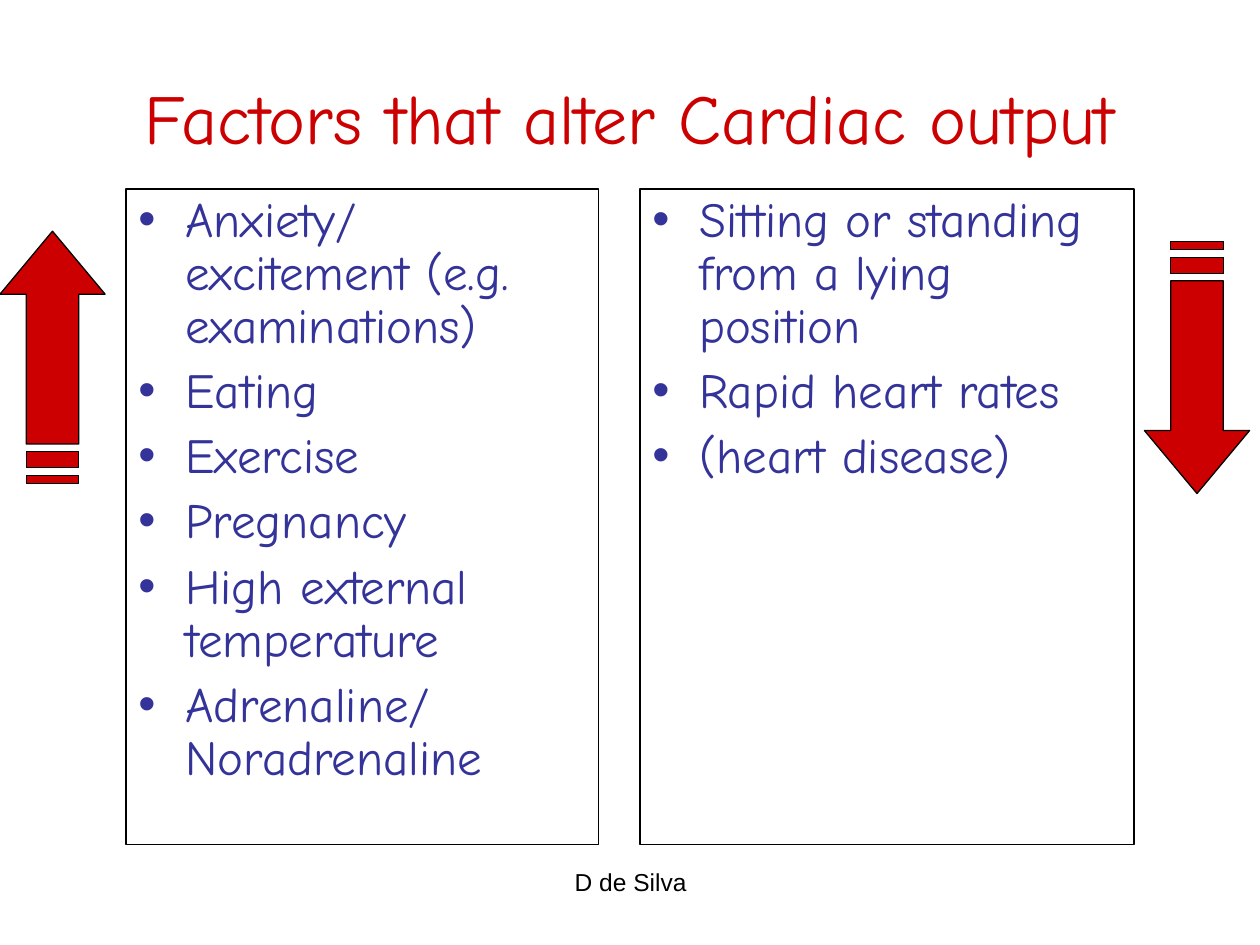
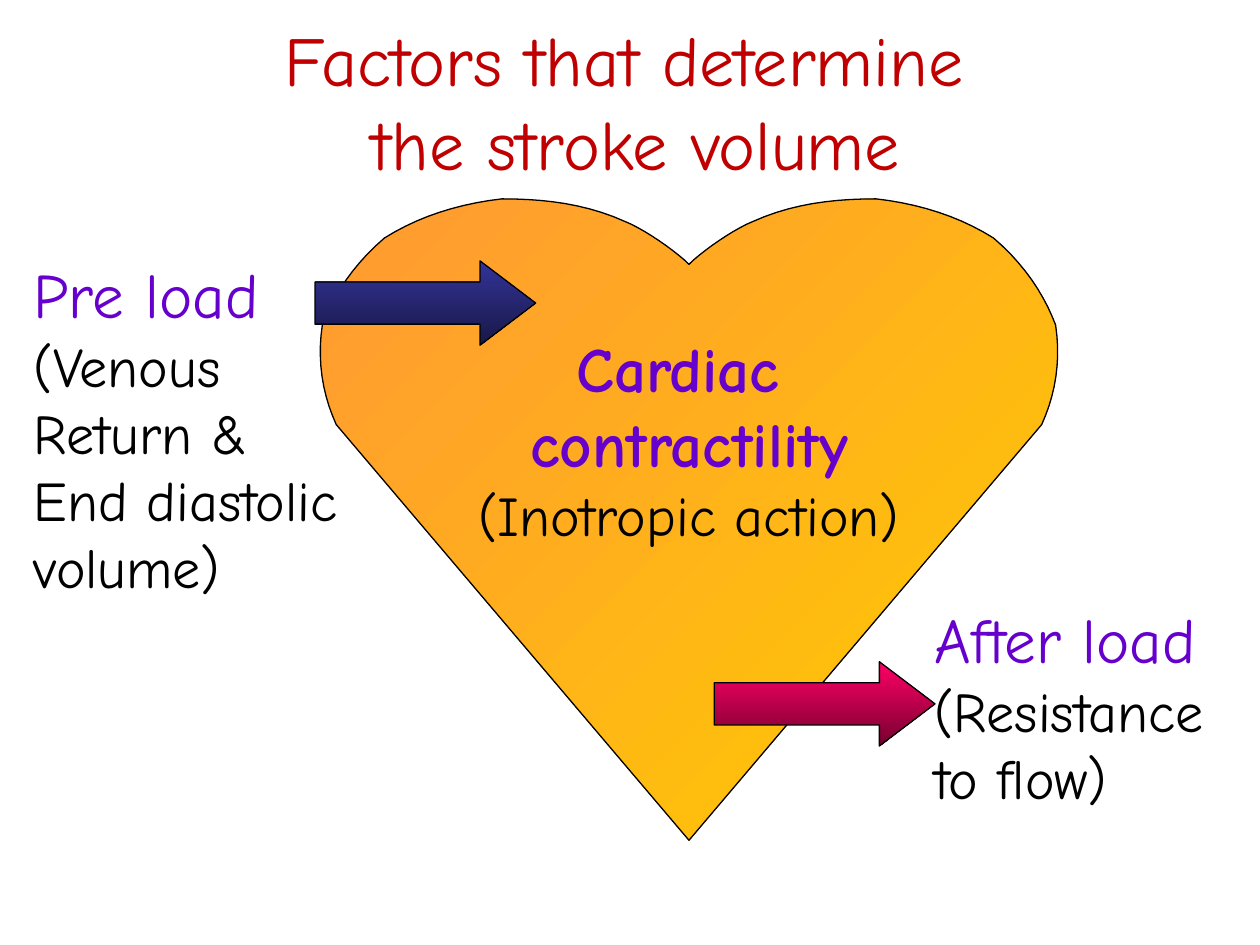
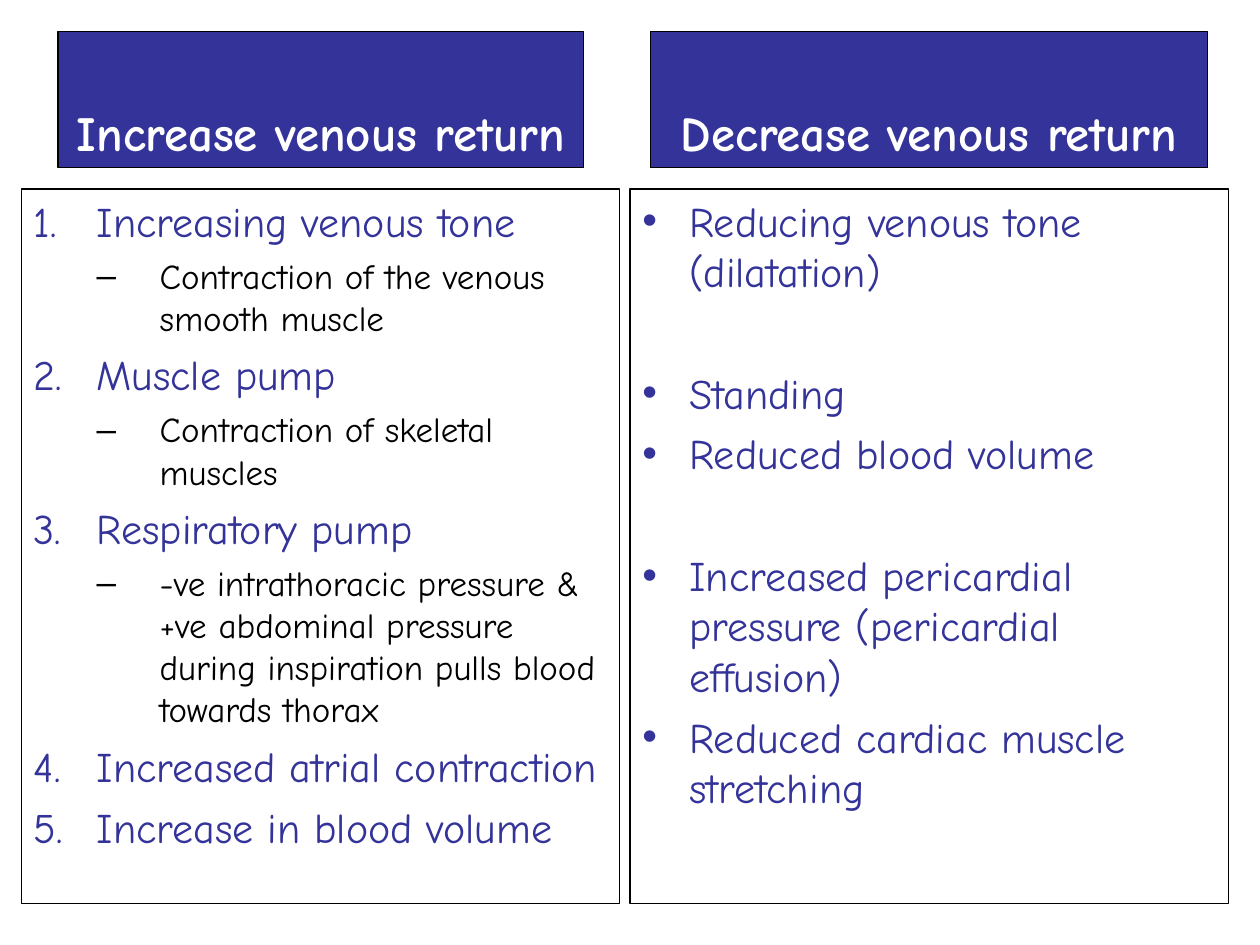
from lxml import etree
from pptx import Presentation
from pptx.dml.color import RGBColor
from pptx.enum import shapes, text
from pptx.oxml import ns
from pptx.util import Cm, Pt

FONT, FOOTER_FONT = "Comic Neue", "Arial"
RED = RGBColor(0xCC, 0x00, 0x00)
DARK_RED = RGBColor(0xC0, 0x00, 0x00)
BLUE = RGBColor(0x33, 0x33, 0x99)
NAVY = RGBColor(0x18, 0x18, 0x47)
PURPLE = RGBColor(0x66, 0x00, 0xCC)
PINK = RGBColor(0xFF, 0x00, 0x66)
MAROON = RGBColor(0x76, 0x00, 0x2F)
ORANGE = RGBColor(0xFF, 0x99, 0x33)
YELLOW = RGBColor(0xFF, 0xCC, 0x00)
BLACK = RGBColor(0x00, 0x00, 0x00)
WHITE = RGBColor(0xFF, 0xFF, 0xFF)
CENTER, LEFT = text.PP_ALIGN.CENTER, text.PP_ALIGN.LEFT
TOP, MIDDLE, BOTTOM = text.MSO_ANCHOR.TOP, text.MSO_ANCHOR.MIDDLE, text.MSO_ANCHOR.BOTTOM


def write(shape, lines, align=LEFT, anchor=TOP, wrap=True, font=FONT, gap=0, spacing=1.0):
    """Fill a shape with (text, size, colour[, bullet, indent in cm, extra gap]) lines."""
    frame = shape.text_frame
    frame.word_wrap = wrap
    frame.vertical_anchor = anchor
    for index, (words, size, colour, *bullet) in enumerate(lines):
        paragraph = frame.paragraphs[0] if index == 0 else frame.add_paragraph()
        paragraph.text = words
        paragraph.alignment = align
        paragraph.line_spacing = spacing
        extra = 0
        if bullet:
            mark, indent, extra = bullet
            paragraph.level = 1 if mark == "–" else 0
            properties = paragraph._p.get_or_add_pPr()
            properties.set("marL", str(Cm(indent * (paragraph.level + 1))))
            properties.set("indent", str(-Cm(indent)))
            if mark == "1.":
                etree.SubElement(properties, ns.qn("a:buFont"), typeface="+mj-lt")
                etree.SubElement(properties, ns.qn("a:buAutoNum"), type="arabicPeriod")
            else:
                etree.SubElement(properties, ns.qn("a:buFont"), typeface=FOOTER_FONT)
                etree.SubElement(properties, ns.qn("a:buChar"), char=mark)
        if index:
            paragraph.space_before = Pt(gap + extra)
        paragraph.font.name = font
        paragraph.font.size = Pt(size)
        paragraph.font.color.rgb = colour
        paragraph.font.bold = False


def outline(shape, *colours, angle=270):
    """Thin black line, no shadow, and a plain or two-colour fill."""
    shape.line.color.rgb = BLACK
    shape.line.width = Pt(0.75)
    shape.shadow.inherit = False
    if len(colours) == 1:
        shape.fill.solid()
        shape.fill.fore_color.rgb = colours[0]
    elif colours:
        shape.fill.gradient()
        shape.fill.gradient_angle = angle
        for stop, colour in zip(shape.fill.gradient_stops, colours):
            stop.color.rgb = colour


presentation = Presentation()
presentation.slide_width, presentation.slide_height = Cm(25.4), Cm(19.05)
blank = presentation.slide_layouts[6]

# Slide 1: what raises and lowers cardiac output
slide = presentation.slides.add_slide(blank)
footer = slide.shapes.add_textbox(Cm(8.69), Cm(17.35), Cm(8.05), Cm(1.32))
write(footer, [("D de Silva", 14, BLACK)], CENTER, font=FOOTER_FONT)
title = slide.shapes.add_textbox(Cm(1.27), Cm(0.76), Cm(22.86), Cm(3.18))
write(title, [("Factors that alter Cardiac output", 40, RED)], CENTER, MIDDLE)

raising = ["Anxiety/ excitement (e.g. examinations)", "Eating", "Exercise", "Pregnancy",
           "High external temperature", "Adrenaline/ Noradrenaline"]
lowering = ["Sitting or standing from a lying position", "Rapid heart rates", "(heart disease)"]
for left, width, factors in [(2.54, 9.52, raising), (12.9, 9.96, lowering)]:
    box = slide.shapes.add_textbox(Cm(left), Cm(3.81), Cm(width), Cm(13.21))
    outline(box)
    write(box, [(factor, 28, BLUE, "•", 0.95, 0) for factor in factors], gap=7, spacing=0.9)

# Striped arrow pointing right, turned up or down
bars = [[(start, 0.53), (end, 0.53), (end, 1.59), (start, 1.59)]
        for start, end in [(0, 0.16), (0.32, 0.64)]]
arrow_head = [(0.79, 0.53), (3.81, 0.53), (3.81, 0), (5.08, 1.06),
              (3.81, 2.12), (3.81, 1.59), (0.79, 1.59)]
for left, top, rotation in [(-1.48, 6.14, 270), (21.59, 6.35, 90)]:
    builder = slide.shapes.build_freeform()
    for number, contour in enumerate([*bars, arrow_head]):
        points = [(Cm(left + x), Cm(top + y)) for x, y in contour]
        if number == 0:
            builder = slide.shapes.build_freeform(*points[0])
        else:
            builder.move_to(*points[0])
        builder.add_line_segments(points[1:], close=True)
    striped_arrow = builder.convert_to_shape()
    striped_arrow.rotation = rotation
    outline(striped_arrow, RED)

# Slide 2: heart with preload and afterload
slide = presentation.slides.add_slide(blank)
heart_center = 13.89
start = (0, 5.33)
curves = [[(0.28, 5.05), (0.91, 4.62), (1.28, 4.47)],
          [(2.08, 4.11), (2.9, 4.01), (3.77, 4.01)],
          [(4.65, 4.11), (5.46, 4.37), (6.14, 4.8)],
          [(6.76, 5.33), (7.16, 5.94), (7.39, 6.55)],
          [(7.5, 7.26), (7.39, 7.95), (7.11, 8.56)]]
half = [start]
for first, second, end in curves:
    begin = half[-1]
    for step in range(1, 11):
        t = step / 10
        half.append(tuple((1 - t) ** 3 * a + 3 * (1 - t) ** 2 * t * b + 3 * (1 - t) * t ** 2 * c + t ** 3 * d
                          for a, b, c, d in zip(begin, first, second, end)))
edge = half + [(0, 16.94)] + [(-x, y) for x, y in reversed(half[1:])]
points = [(Cm(heart_center + x), Cm(y)) for x, y in edge]
builder = slide.shapes.build_freeform(*points[0])
builder.add_line_segments(points[1:], close=True)
heart = builder.convert_to_shape()
outline(heart, ORANGE, YELLOW, angle=315)
write(heart, [("Cardiac ", 36, PURPLE), ("contractility", 36, PURPLE),
              ("(Inotropic action)", 32, BLACK)], CENTER, MIDDLE, wrap=False)
heart.text_frame.margin_bottom = Cm(3.4)
for paragraph in heart.text_frame.paragraphs[:2]:
    paragraph.font.bold = True

preload = ["(Venous", "Return &", "End diastolic", "volume)"]
afterload = ["(Resistance to flow)"]
for name, details, text_area, arrow_at, colours in [
        ("Pre load", preload, (0.43, 5.03, 11.23, 7.21), (6.35, 5.26), (BLUE, NAVY)),
        ("After load", afterload, (18.59, 11.99, 6.78, 4.5), (14.4, 13.34), (PINK, MAROON))]:
    label = slide.shapes.add_textbox(*map(Cm, text_area))
    write(label, [(name, 36, PURPLE)] + [(detail, 32, BLACK) for detail in details])
    arrow = slide.shapes.add_shape(shapes.MSO_SHAPE.RIGHT_ARROW, *map(Cm, arrow_at), Cm(4.45), Cm(1.7))
    arrow.adjustments[1] = 0.66
    outline(arrow, *colours)

title = slide.shapes.add_textbox(Cm(5.41), Cm(0.2), Cm(14.81), Cm(3.66))
write(title, [("Factors that determine ", 40, DARK_RED), ("the stroke volume", 40, DARK_RED)],
      CENTER, wrap=False)

# Slide 3: venous return
slide = presentation.slides.add_slide(blank)
increasing = [
    ("Increasing venous tone", "Contraction of the venous smooth muscle"),
    ("Muscle pump", "Contraction of skeletal muscles"),
    ("Respiratory pump", "-ve intrathoracic pressure & +ve abdominal pressure during inspiration "
                         "pulls blood towards thorax"),
    ("Increased atrial contraction", None),
    ("Increase in blood volume", None)]
increase_lines = []
for cause, detail in increasing:
    increase_lines.append((cause, 24, BLUE, "1.", 1.27, 0))
    if detail:
        increase_lines.append((detail, 20, BLACK, "–", 1.27, -1))
group_gap = 34.6
decreasing = [("Reducing venous tone (dilatation)", 0), ("Standing", group_gap),
              ("Reduced blood volume", 0),
              ("Increased pericardial pressure (pericardial effusion)", group_gap),
              ("Reduced cardiac muscle stretching", 0)]
decrease_lines = [(cause, 24, BLUE, "•", 0.95, extra) for cause, extra in decreasing]

for heading, heading_left, heading_width, left, lines in [
        ("Increase venous return", 1.17, 10.59, 0.43, increase_lines),
        ("Decrease venous return", 13.11, 11.23, 12.7, decrease_lines)]:
    box = slide.shapes.add_textbox(Cm(left), Cm(3.81), Cm(12.06), Cm(14.4))
    outline(box)
    write(box, lines, gap=6)
    band = slide.shapes.add_textbox(Cm(heading_left), Cm(0.64), Cm(heading_width), Cm(2.74))
    outline(band, BLUE)
    write(band, [(heading, 28, WHITE)], CENTER, BOTTOM)
    band.text_frame.paragraphs[0].font.bold = True

presentation.save("out.pptx")
